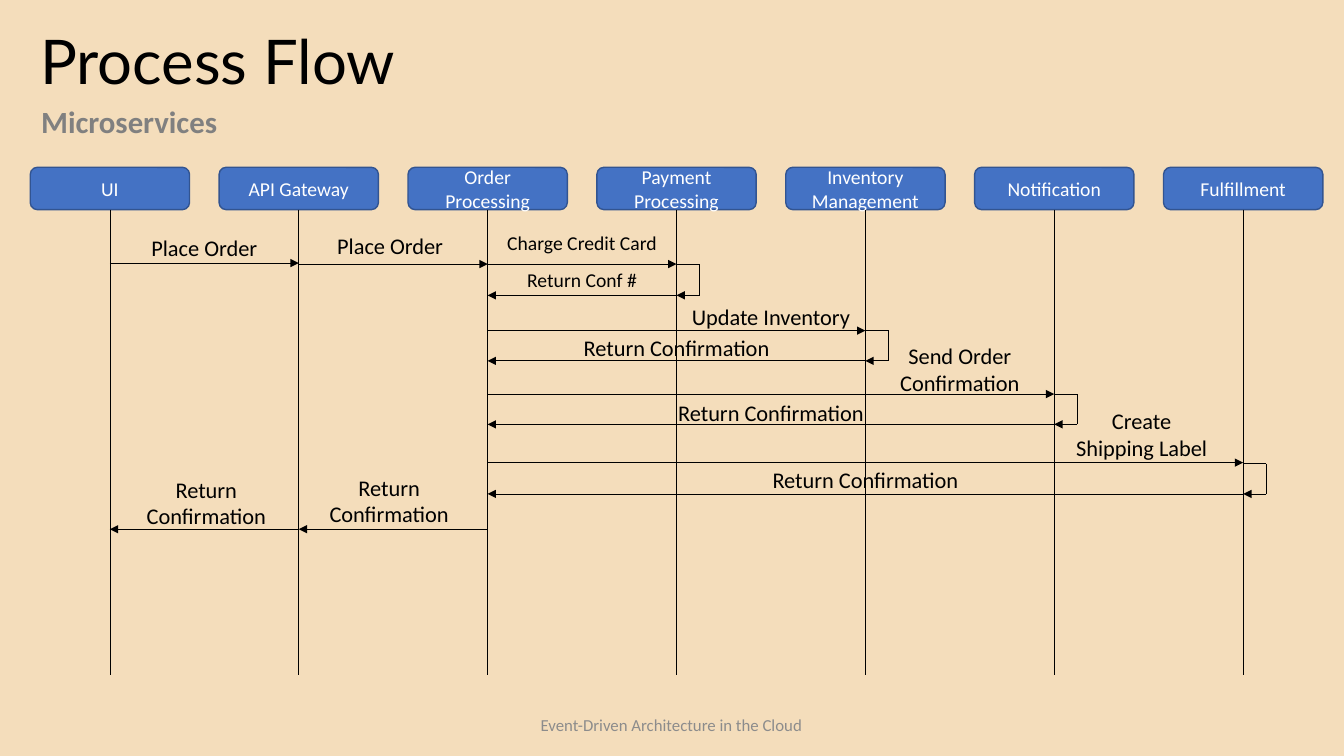
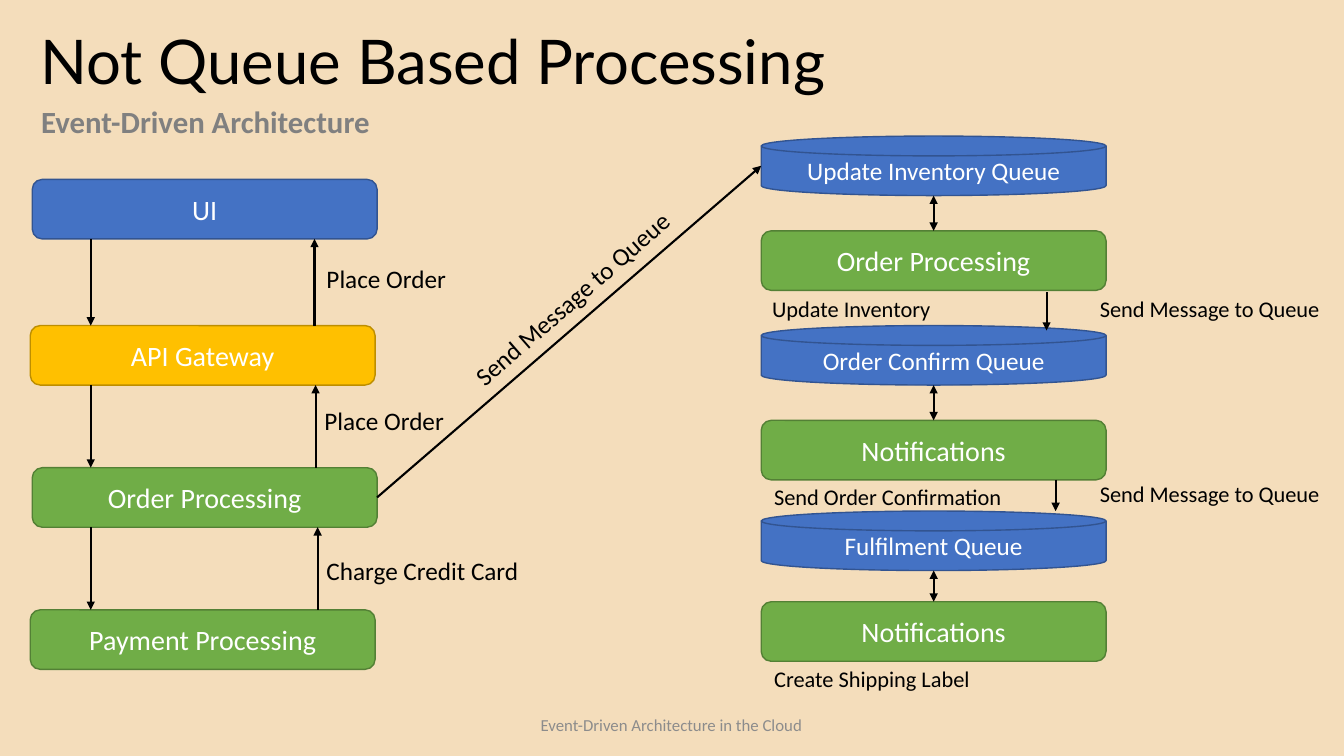
"""Build two slides on order processing: a sequence diagram and a queue diagram."""
from dataclasses import dataclass
from itertools import pairwise

from lxml.etree import SubElement
from pptx import Presentation
from pptx.dml.color import RGBColor
from pptx.enum.shapes import MSO_CONNECTOR, MSO_SHAPE
from pptx.enum.text import MSO_ANCHOR, MSO_AUTO_SIZE, PP_ALIGN
from pptx.oxml.ns import qn
from pptx.util import Inches, Pt


@dataclass(frozen=True)
class Theme:
    background: str = "F4DDBB"
    ink: str = "000000"
    white: str = "FFFFFF"
    subtitle: str = "808080"
    footer: str = "8C8C8C"
    blue: tuple = ("4472C4", "325491")
    green: tuple = ("70AD47", "538035")
    amber: tuple = ("FFC000", "BD8E00")
    heading_font: str = "Lato"
    body_font: str = "Calibri"
    title_size: int = 44
    subtitle_size: int = 22
    box_size: int = 20
    large_size: int = 18
    label_size: int = 16
    small_size: int = 14
    footer_size: int = 12
    thin: float = 0.5
    thick: float = 1.5


T = Theme()
FOOTER = "Event-Driven Architecture in the Cloud"

SERVICES = ["UI", "API Gateway", "Order Processing", "Payment Processing",
            "Inventory Management", "Notification", "Fulfillment"]
# start, end, arrow y, text, label span, label top, label shift, size
MESSAGES = [
    (0, 1, 2.61, "Place Order", (0, 1), 2.27, 0, T.label_size),
    (1, 2, 2.62, "Place Order", (1, 2), 2.25, -0.03, T.label_size),
    (2, 3, 2.62, "Charge Credit Card", (2, 3), 2.24, 0, T.small_size),
    (3, 2, 2.93, "Return Conf #", (2, 3), 2.61, 0, T.small_size),
    (2, 4, 3.28, "Update Inventory", (3, 4), 2.96, 0, T.label_size),
    (4, 2, 3.58, "Return Confirmation", (2, 4), 3.27, 0, T.label_size),
    (2, 5, 3.91, "Send Order Confirmation", (4, 5), 3.35, 0, T.label_size),
    (5, 2, 4.21, "Return Confirmation", (2, 5), 3.91, 0, T.label_size),
    (2, 6, 4.59, "Create\nShipping Label", (5, 6), 3.99, -0.07, T.label_size),
    (6, 2, 4.9, "Return Confirmation", (2, 6), 4.58, 0, T.label_size),
    (2, 1, 5.25, "Return Confirmation", (1, 2), 4.65, -0.04, T.label_size),
    (1, 0, 5.25, "Return Confirmation", (0, 1), 4.67, 0.02, T.label_size),
]
LOOPS = [(3, 2.62, 2.93), (4, 3.28, 3.58), (5, 3.91, 4.21), (6, 4.6, 4.9)]

CALL_STACK = [
    ("UI", 0.32, 1.78, T.blue),
    ("API Gateway", 0.3, 3.23, T.amber),
    ("Order Processing", 0.32, 4.64, T.green),
    ("Payment Processing", 0.3, 6.05, T.green),
]
REPLY_X = [3.12, 3.13, 3.15]
QUEUE_PAIRS = [
    ("Update Inventory Queue", 1.35, "Order Processing", 2.29),
    ("Order Confirm Queue", 3.23, "Notifications", 4.17),
    ("Fulfilment Queue", 5.07, "Notifications", 5.97),
]
HANDOFFS = [(10.38, 2.9, 3.28), (10.47, 4.76, 5.07)]
# text, left, top, size, rotation
LABELS = [
    ("Place Order", 3.14, 2.56, T.large_size, 0),
    ("Place Order", 3.12, 3.97, T.large_size, 0),
    ("Charge Credit Card", 3.14, 5.46, T.large_size, 0),
    ("Update Inventory", 7.56, 2.88, T.label_size, 0),
    ("Send Order Confirmation", 7.58, 4.74, T.label_size, 0),
    ("Create Shipping Label", 7.58, 6.55, T.label_size, 0),
    ("Send Message to Queue", 10.81, 2.88, T.label_size, 0),
    ("Send Message to Queue", 10.81, 4.71, T.label_size, 0),
    ("Send Message to Queue", 4.34, 2.75, T.large_size, 318.9),
]


def write(sp, text, size=T.label_size, color=T.ink, font=T.body_font, bold=False,
          align=PP_ALIGN.LEFT, anchor=MSO_ANCHOR.TOP, spacing=None):
    tf = sp.text_frame
    tf.word_wrap = True
    tf.auto_size = MSO_AUTO_SIZE.NONE
    tf.vertical_anchor = anchor
    tf.text = text
    for p in tf.paragraphs:
        p.alignment = align
        p.line_spacing = spacing
        for r in p.runs:
            r.font.size = Pt(size)
            r.font.name = font
            r.font.bold = bold
            r.font.color.rgb = RGBColor.from_string(color)


def label(s, text, x, y, w, h=0.4, rotation=0, **fmt):
    sp = s.shapes.add_textbox(Inches(x), Inches(y), Inches(w), Inches(h))
    sp.rotation = rotation
    write(sp, text, **fmt)
    return sp


def box(s, text, x, y, w, h, colors, size, kind=MSO_SHAPE.ROUNDED_RECTANGLE):
    sp = s.shapes.add_shape(kind, Inches(x), Inches(y), Inches(w), Inches(h))
    fill, outline = colors
    sp.shadow.inherit = False
    sp.fill.solid()
    sp.fill.fore_color.rgb = RGBColor.from_string(fill)
    sp.line.color.rgb = RGBColor.from_string(outline)
    sp.line.width = Pt(1)
    write(sp, text, size=size, color=T.white, align=PP_ALIGN.CENTER,
          anchor=MSO_ANCHOR.MIDDLE)


def line(s, x1, y1, x2, y2, width, ends=("tailEnd",)):
    c = s.shapes.add_connector(MSO_CONNECTOR.STRAIGHT, Inches(x1), Inches(y1),
                               Inches(x2), Inches(y2))
    c.line.color.rgb = RGBColor.from_string(T.ink)
    c.line.width = Pt(width)
    sp_pr = c.element.spPr
    for end in ends:
        SubElement(sp_pr.find(qn("a:ln")), qn(f"a:{end}"), type="triangle")
    SubElement(sp_pr, qn("a:effectLst"))


def prepare_layout(prs):
    fill = prs.slide_master.background.fill
    fill.solid()
    fill.fore_color.rgb = RGBColor.from_string(T.background)
    layout = prs.slide_layouts.get_by_name("Title Only")
    title = next(ph for ph in layout.placeholders if ph.placeholder_format.idx == 0)
    title.left, title.top = Inches(0.3), Inches(0.24)
    title.width, title.height = Inches(12.72), Inches(0.8)
    return layout


def add_slide(prs, layout, title, subtitle):
    s = prs.slides.add_slide(layout)
    write(s.shapes.title, title, size=T.title_size, font=T.heading_font,
          anchor=MSO_ANCHOR.MIDDLE, spacing=0.9)
    label(s, subtitle, 0.31, 1.04, 12.72, size=T.subtitle_size, color=T.subtitle,
          bold=True, anchor=MSO_ANCHOR.MIDDLE, spacing=0.8)
    return s


def add_footer(s, layout):
    footer = label(s, FOOTER, 4.66, 7.04, 4, 0.3, size=T.footer_size,
                   color=T.footer, align=PP_ALIGN.CENTER)
    layout.shapes.element.append(footer.element)


def draw_sequence(s):
    first, last, w, top, h, bottom, reach = 1.09, 12.33, 1.58, 1.66, 0.42, 6.7, 0.23
    pitch = (last - first) / (len(SERVICES) - 1)
    xs = [first + i * pitch for i in range(len(SERVICES))]
    for name, x in zip(SERVICES, xs):
        box(s, name, x - w / 2, top, w, h, T.blue, T.small_size)
        line(s, x, top + h, x, bottom, T.thin, ends=())
    for start, end, y, text, (a, b), label_y, shift, size in MESSAGES:
        line(s, xs[start], y, xs[end], y, T.thin)
        label(s, text, xs[a] + shift, label_y, xs[b] - xs[a], size=size,
              align=PP_ALIGN.CENTER)
    for i, y1, y2 in LOOPS:
        x, out = xs[i], xs[i] + reach
        line(s, x, y1, out, y1, T.thin, ends=())
        line(s, out, y1, out, y2, T.thin, ends=())
        line(s, out, y2, x, y2, T.thin)


def draw_queues(s):
    w, h, call_x, queue_x = 3.42, 0.59, 0.9, 7.55
    for name, x, y, colors in CALL_STACK:
        box(s, name, x, y, w, h, colors, T.box_size)
    for (upper, lower), reply_x in zip(pairwise(CALL_STACK), REPLY_X):
        y1, y2 = upper[2] + h, lower[2]
        line(s, call_x, y1, call_x, y2, T.thick)
        line(s, reply_x, y2, reply_x, y1, T.thick)
    mid = queue_x + w / 2
    for queue, queue_y, service, service_y in QUEUE_PAIRS:
        box(s, queue, queue_x, queue_y, w, h, T.blue, T.large_size,
            MSO_SHAPE.FLOWCHART_MAGNETIC_DISK)
        box(s, service, queue_x, service_y, w, h, T.green, T.box_size)
        line(s, mid, queue_y + h, mid, service_y, T.thick, ("headEnd", "tailEnd"))
    for x, y1, y2 in HANDOFFS:
        line(s, x, y1, x, y2, T.thick)
    _, x, y, _ = CALL_STACK[2]
    line(s, x + w, y + h / 2, queue_x, QUEUE_PAIRS[0][1] + h / 2, T.thick)
    for text, x, y, size, rotation in LABELS:
        label(s, text, x, y, 2.69 if rotation else 2.5, size=size, rotation=rotation)


def main():
    prs = Presentation()
    prs.slide_width, prs.slide_height = Inches(13.33), Inches(7.5)
    layout = prepare_layout(prs)
    flow = add_slide(prs, layout, "Process Flow", "Microservices")
    add_footer(flow, layout)
    draw_sequence(flow)
    draw_queues(add_slide(prs, layout, "Not Queue Based Processing",
                          "Event-Driven Architecture"))
    prs.save("out.pptx")


if __name__ == "__main__":
    main()
